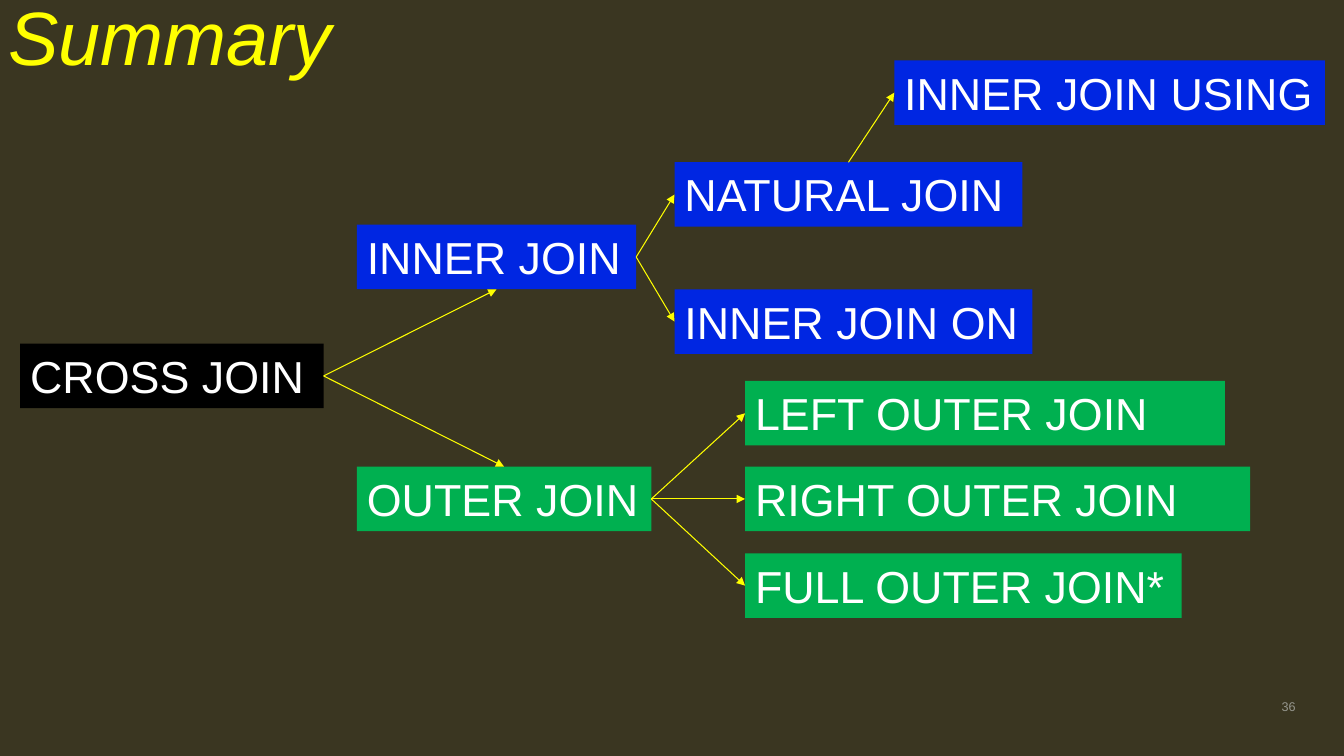
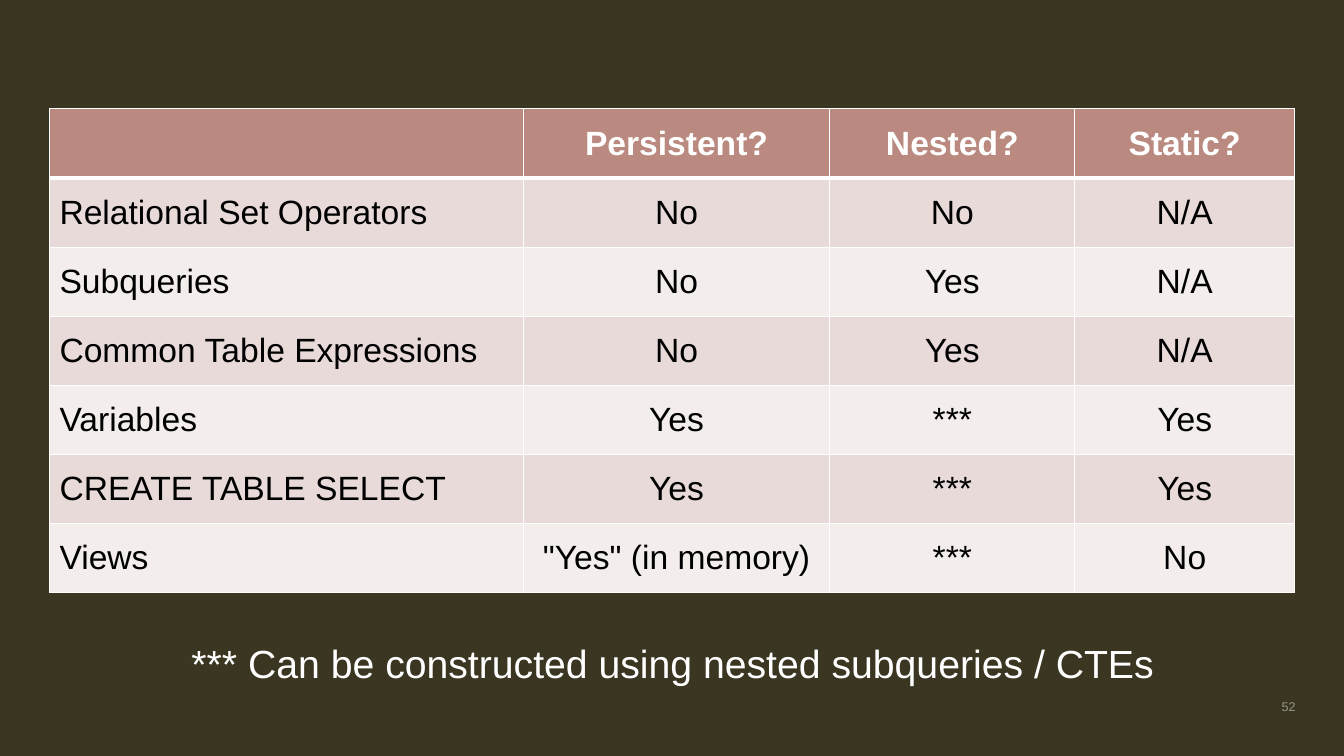
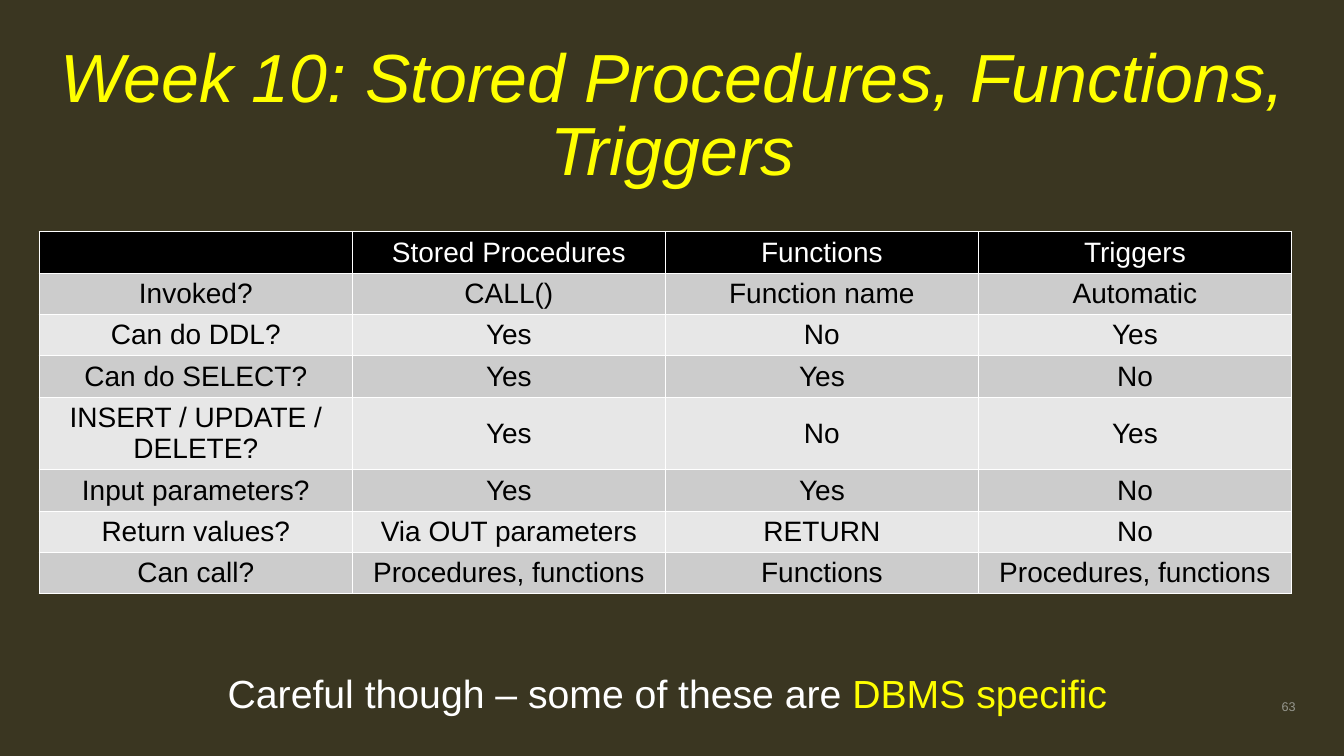
from dataclasses import dataclass

from lxml.etree import SubElement
from pptx import Presentation
from pptx.dml.color import RGBColor
from pptx.enum.shapes import MSO_CONNECTOR, MSO_SHAPE
from pptx.enum.text import MSO_ANCHOR, PP_ALIGN
from pptx.oxml.ns import qn
from pptx.util import Inches, Pt

# Shared look
FONT = "Arial"
BACKGROUND = "3A3621"
YELLOW = "FFFF00"
WHITE = "FFFFFF"
BLACK = "000000"
BLUE = "0026E2"
GREEN = "00B050"
NUMBER_GREY = "E2E7E8"
BOX_HEIGHT = 0.64
TOP, LEFT, BOTTOM, RIGHT = range(4)  # connection sites of a rectangle


@dataclass(frozen=True)
class JoinBox:
    label: str
    left: float
    top: float
    width: float
    fill: str


@dataclass(frozen=True)
class Arrow:
    start: str
    start_side: int
    end: str
    end_side: int


@dataclass(frozen=True)
class Span:
    text: str
    color: str = WHITE


@dataclass(frozen=True)
class Grid:
    left: float
    top: float
    columns: list[float]
    row_heights: list[float]
    font_size: float
    header_fill: str
    band_fills: tuple[str, str]
    header_bold: bool
    header_rule: float
    first_column_align: PP_ALIGN
    rows: list[list[str]]


JOIN_BOXES = [
    JoinBox("CROSS JOIN", 0.2, 3.41, 3.01, BLACK),
    JoinBox("INNER JOIN", 3.54, 2.23, 2.77, BLUE),
    JoinBox("NATURAL JOIN", 6.69, 1.61, 3.45, BLUE),
    JoinBox("INNER JOIN ON", 6.69, 2.87, 3.55, BLUE),
    JoinBox("INNER JOIN USING", 8.87, 0.6, 4.27, BLUE),
    JoinBox("OUTER JOIN", 3.54, 4.63, 2.92, GREEN),
    JoinBox("LEFT OUTER JOIN", 7.39, 3.78, 4.76, GREEN),
    JoinBox("RIGHT OUTER JOIN", 7.39, 4.63, 5.01, GREEN),
    JoinBox("FULL OUTER JOIN*", 7.39, 5.49, 4.33, GREEN),
]

ARROWS = [
    Arrow("CROSS JOIN", RIGHT, "INNER JOIN", BOTTOM),
    Arrow("CROSS JOIN", RIGHT, "OUTER JOIN", TOP),
    Arrow("INNER JOIN", RIGHT, "NATURAL JOIN", LEFT),
    Arrow("INNER JOIN", RIGHT, "INNER JOIN ON", LEFT),
    Arrow("OUTER JOIN", RIGHT, "FULL OUTER JOIN*", LEFT),
    Arrow("OUTER JOIN", RIGHT, "LEFT OUTER JOIN", LEFT),
    Arrow("OUTER JOIN", RIGHT, "RIGHT OUTER JOIN", LEFT),
    Arrow("NATURAL JOIN", TOP, "INNER JOIN USING", LEFT),
]

QUERY_GRID = Grid(
    left=0.49, top=1.08, columns=[4.7, 3.04, 2.43, 2.18], row_heights=[0.686] * 7,
    font_size=24, header_fill="BA897F", band_fills=("E7DAD8", "F3EDEC"),
    header_bold=True, header_rule=3, first_column_align=PP_ALIGN.LEFT,
    rows=[
        ["", "Persistent?", "Nested?", "Static?"],
        ["Relational Set Operators", "No", "No", "N/A"],
        ["Subqueries", "No", "Yes", "N/A"],
        ["Common Table Expressions", "No", "Yes", "N/A"],
        ["Variables", "Yes", "***", "Yes"],
        ["CREATE TABLE SELECT", "Yes", "***", "Yes"],
        ["Views", '"Yes" (in memory)', "***", "No"],
    ],
)

ROUTINE_GRID = Grid(
    left=0.39, top=2.3, columns=[3.105] * 4,
    row_heights=[0.41] * 4 + [0.72] + [0.41] * 3,
    font_size=20, header_fill=BLACK, band_fills=("CCCCCC", "E7E7E7"),
    header_bold=False, header_rule=1, first_column_align=PP_ALIGN.CENTER,
    rows=[
        ["", "Stored Procedures", "Functions", "Triggers"],
        ["Invoked?", "CALL()", "Function name", "Automatic"],
        ["Can do DDL?", "Yes", "No", "Yes"],
        ["Can do SELECT?", "Yes", "Yes", "No"],
        ["INSERT / UPDATE / DELETE?", "Yes", "No", "Yes"],
        ["Input parameters?", "Yes", "Yes", "No"],
        ["Return values?", "Via OUT parameters", "RETURN", "No"],
        ["Can call?", "Procedures, functions", "Functions", "Procedures, functions"],
    ],
)


def rgb(value: str) -> RGBColor:
    return RGBColor.from_string(value)


def add_span(para, text: str, size: float, color: str, bold=False, italic=False):
    span = para.add_run()
    span.text = text
    font = span.font
    font.name, font.size, font.bold, font.italic = FONT, Pt(size), bold, italic
    font.color.rgb = rgb(color)
    return span


def clear_margins(frame) -> None:
    frame.margin_left = frame.margin_top = frame.margin_right = frame.margin_bottom = 0


def add_text(page, left: float, top: float, width: float, height: float,
             spans: list[Span], size: float, align: PP_ALIGN):
    box = page.shapes.add_textbox(Inches(left), Inches(top), Inches(width), Inches(height))
    box.text_frame.word_wrap = True
    para = box.text_frame.paragraphs[0]
    para.alignment = align
    for span in spans:
        add_span(para, span.text, size, span.color)
    return box


def add_page_number(page, number: int) -> None:
    box = add_text(page, 11.2, 6.73, 1.65, 0.55, [Span(str(number), NUMBER_GREY)], 9, PP_ALIGN.RIGHT)
    clear_margins(box.text_frame)
    box.text_frame.vertical_anchor = MSO_ANCHOR.MIDDLE
    for color in box._element.iter(qn("a:srgbClr")):
        SubElement(color, qn("a:alpha"), val="55000")


def set_title(page, text: str, left: float, top: float, width: float, size: float) -> None:
    title = page.shapes.title
    title.left, title.top = Inches(left), Inches(top)
    title.width, title.height = Inches(width), Inches(1.25)
    frame = title.text_frame
    clear_margins(frame)
    frame.word_wrap = True
    frame.vertical_anchor = MSO_ANCHOR.TOP
    para = frame.paragraphs[0]
    para.alignment = PP_ALIGN.CENTER
    para.line_spacing = 0.9
    add_span(para, text, size, YELLOW, italic=True)


def add_join_box(page, join: JoinBox):
    box = page.shapes.add_shape(MSO_SHAPE.RECTANGLE, Inches(join.left), Inches(join.top),
                                Inches(join.width), Inches(BOX_HEIGHT))
    box.shadow.inherit = False
    box.fill.solid()
    box.fill.fore_color.rgb = rgb(join.fill)
    box.line.fill.background()
    box.text_frame.vertical_anchor = MSO_ANCHOR.TOP
    para = box.text_frame.paragraphs[0]
    para.alignment = PP_ALIGN.LEFT
    add_span(para, join.label, 32, WHITE)
    return box


def add_arrow(page, arrow: Arrow, boxes: dict) -> None:
    line = page.shapes.add_connector(MSO_CONNECTOR.STRAIGHT, 0, 0, 0, 0)
    line.begin_connect(boxes[arrow.start], arrow.start_side)
    line.end_connect(boxes[arrow.end], arrow.end_side)
    line.line.color.rgb = rgb(YELLOW)
    line.line.width = Pt(0.75)
    SubElement(line.line._get_or_add_ln(), qn("a:tailEnd"), type="triangle")
    SubElement(line._element.spPr, qn("a:effectLst"))


def add_borders(cell, top: float, bottom: float) -> None:
    properties = cell._tc.get_or_add_tcPr()
    for side, width in (("L", 1), ("R", 1), ("T", top), ("B", bottom)):
        line = SubElement(properties, qn(f"a:ln{side}"), w=str(Pt(width)))
        fill = SubElement(line, qn("a:solidFill"))
        SubElement(fill, qn("a:srgbClr"), val=WHITE)


def add_grid(page, grid: Grid) -> None:
    table = page.shapes.add_table(
        len(grid.rows), len(grid.columns), Inches(grid.left), Inches(grid.top),
        Inches(sum(grid.columns)), Inches(sum(grid.row_heights))).table
    for column, width in zip(table.columns, grid.columns):
        column.width = Inches(width)
    for row, height in zip(table.rows, grid.row_heights):
        row.height = Inches(height)

    for row_index, texts in enumerate(grid.rows):
        header = row_index == 0
        fill = grid.header_fill if header else grid.band_fills[(row_index - 1) % 2]
        for column_index, text in enumerate(texts):
            cell = table.cell(row_index, column_index)
            add_borders(cell, top=grid.header_rule if row_index == 1 else 1,
                        bottom=grid.header_rule if header else 1)
            cell.fill.solid()
            cell.fill.fore_color.rgb = rgb(fill)
            cell.vertical_anchor = MSO_ANCHOR.MIDDLE
            if text:
                para = cell.text_frame.paragraphs[0]
                para.alignment = PP_ALIGN.CENTER if column_index else grid.first_column_align
                add_span(para, text, grid.font_size, WHITE if header else BLACK,
                         bold=header and grid.header_bold)


def main() -> None:
    deck = Presentation()
    deck.slide_width, deck.slide_height = Inches(13.33), Inches(7.5)
    background = deck.slide_master.background.fill
    background.solid()
    background.fore_color.rgb = rgb(BACKGROUND)
    title_only, blank = deck.slide_layouts[5], deck.slide_layouts[6]

    # Tree of joins
    page = deck.slides.add_slide(title_only)
    set_title(page, "Summary", -0.28, 0, 3.93, 54)
    boxes = {join.label: add_join_box(page, join) for join in JOIN_BOXES}
    for arrow in ARROWS:
        add_arrow(page, arrow, boxes)
    add_page_number(page, 36)

    # Query building blocks
    page = deck.slides.add_slide(blank)
    add_grid(page, QUERY_GRID)
    add_text(page, 0.49, 6.29, 12.36, 0.57,
             [Span("*** Can be constructed using nested subqueries / CTEs")], 28, PP_ALIGN.CENTER)
    add_page_number(page, 52)

    # Stored routines
    page = deck.slides.add_slide(title_only)
    set_title(page, "Week 10: Stored Procedures, Functions, Triggers", 0.49, 0.43, 12.36, 48.6)
    add_grid(page, ROUTINE_GRID)
    add_text(page, 2.16, 6.59, 9.03, 0.57,
             [Span("Careful though – some of these are "), Span("DBMS specific", YELLOW)],
             28, PP_ALIGN.LEFT)
    add_page_number(page, 63)

    deck.save("out.pptx")


if __name__ == "__main__":
    main()
